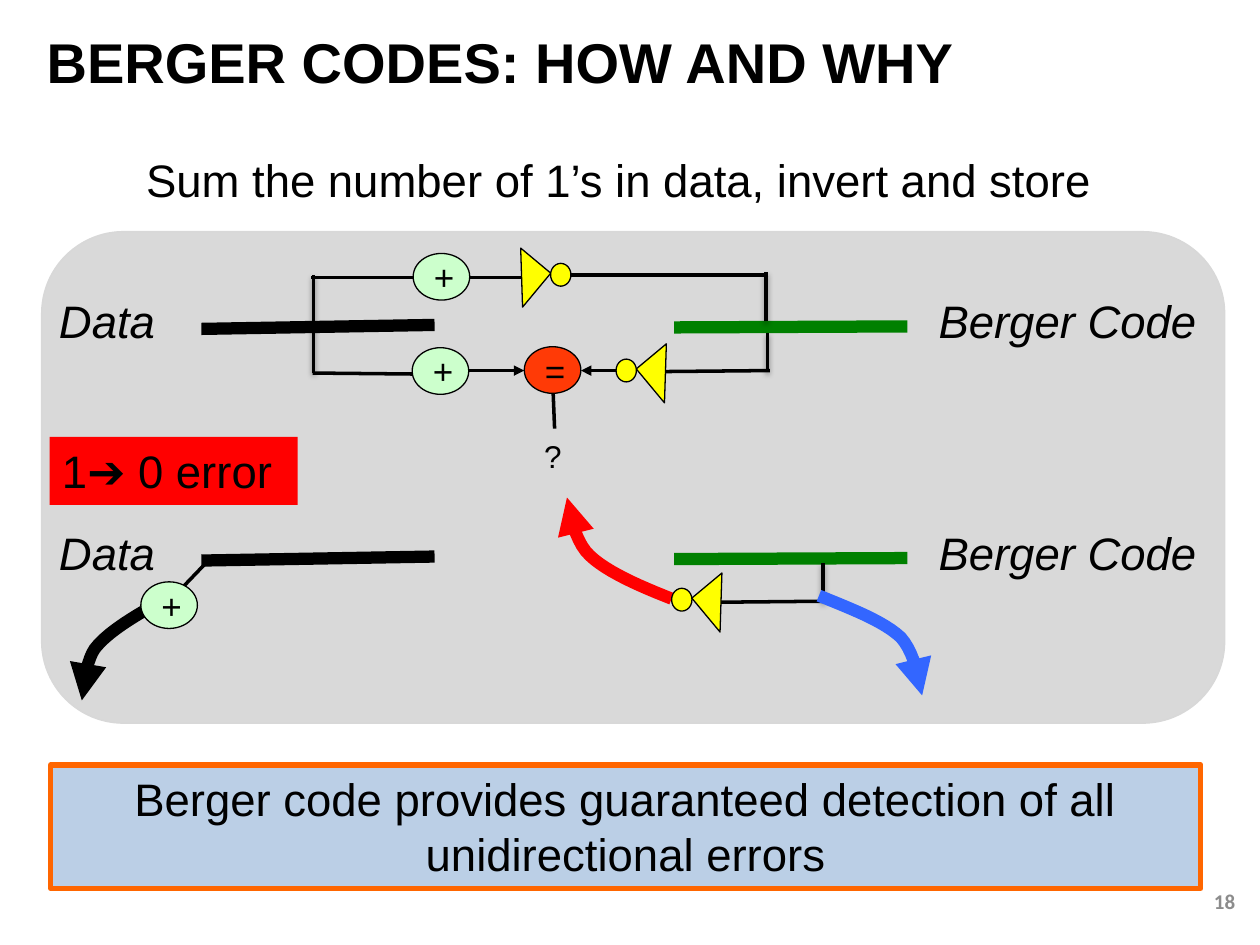
"""Build the slide on how Berger codes detect unidirectional errors."""
from dataclasses import dataclass
from typing import Optional

from lxml import etree
from pptx import Presentation, util as u
from pptx.dml.color import RGBColor
from pptx.enum import shapes, text
from pptx.oxml.ns import qn

Point = tuple[float, float]
KIND = shapes.MSO_SHAPE
ALIGN = text.PP_ALIGN
ANCHOR = text.MSO_ANCHOR
BLACK, GREEN, YELLOW = "000000", "008000", "FFFF00"
ROW_STEP = 4.67
CURVE_STEPS = 12


@dataclass
class Label:
    words: str
    size: float = 26
    color: str = BLACK
    font: str = "Arial"
    bold: bool = False
    italic: bool = False
    align: ALIGN = ALIGN.LEFT
    anchor: ANCHOR = ANCHOR.TOP
    wrap: bool = True
    before: float = 0


@dataclass
class Box:
    left: float
    top: float
    width: float
    height: float
    label: Optional[Label] = None
    kind: Optional[KIND] = None
    fill: Optional[str] = None
    line: Optional[str] = None
    weight: float = 0.75
    rotation: float = 0
    mirrored: bool = False


@dataclass
class Wire:
    start: Point
    end: Point
    color: str = BLACK
    weight: float = 2
    arrow: bool = False
    shadow: bool = False


@dataclass
class Curve:
    points: list[Point]
    color: str


def rgb(value: str) -> RGBColor:
    """Turn a hex string into a colour."""
    return RGBColor.from_string(value)


def set_all(target, values: dict) -> None:
    """Set each attribute of the target from the given values."""
    for name, value in values.items():
        setattr(target, name, value)


def style_line(line, color: str, weight: float, arrow: bool = False) -> None:
    """Colour a line and give it an optional arrowhead at its end."""
    line.color.rgb = rgb(color)
    line.width = u.Pt(weight)
    if arrow:
        etree.SubElement(line._ln, qn("a:tailEnd"), type="triangle")


def write_label(shape, label: Label) -> None:
    """Write one formatted paragraph into a shape."""
    frame = shape.text_frame
    set_all(frame, {"word_wrap": label.wrap, "vertical_anchor": label.anchor})
    paragraph = frame.paragraphs[0]
    set_all(paragraph, {"alignment": label.align, "space_before": u.Pt(label.before)})
    run = paragraph.add_run()
    run.text = label.words
    set_all(run.font, {"name": label.font, "size": u.Pt(label.size),
                       "bold": label.bold, "italic": label.italic})
    run.font.color.rgb = rgb(label.color)


def draw_box(slide, box: Box) -> None:
    """Draw a text box or a preset shape."""
    bounds = [u.Cm(v) for v in (box.left, box.top, box.width, box.height)]
    if box.kind is None:
        shape = slide.shapes.add_textbox(*bounds)
    else:
        shape = slide.shapes.add_shape(box.kind, *bounds)
        shape.shadow.inherit = False
        shape.rotation = box.rotation
        shape.fill.solid()
        shape.fill.fore_color.rgb = rgb(box.fill)
        if box.line:
            style_line(shape.line, box.line, box.weight)
        else:
            shape.line.fill.background()
        if box.mirrored:
            shape._element.spPr.find(qn("a:xfrm")).set("flipH", "1")
    if box.label:
        write_label(shape, box.label)


def draw_wire(slide, wire: Wire) -> None:
    """Draw a straight connector."""
    ends = [u.Cm(v) for v in (*wire.start, *wire.end)]
    connector = slide.shapes.add_connector(shapes.MSO_CONNECTOR.STRAIGHT, *ends)
    style_line(connector.line, wire.color, wire.weight, wire.arrow)
    effects = etree.SubElement(connector._element.spPr, qn("a:effectLst"))
    if wire.shadow:
        outer = etree.SubElement(effects, qn("a:outerShdw"), blurRad=str(u.Pt(3.1)),
                                 dist=str(u.Pt(1.6)), dir="5400000", rotWithShape="0")
        color = etree.SubElement(outer, qn("a:srgbClr"), val=BLACK)
        etree.SubElement(color, qn("a:alpha"), val="38000")


def bezier(controls: list[Point], t: float) -> Point:
    """Give the point at t on a cubic curve."""
    weights = ((1 - t) ** 3, 3 * t * (1 - t) ** 2, 3 * t * t * (1 - t), t ** 3)
    return tuple(u.Cm(sum(w * p[axis] for w, p in zip(weights, controls))) for axis in (0, 1))


def draw_curve(slide, curve: Curve) -> None:
    """Draw a thick arrow along joined cubic curves."""
    track = [bezier(curve.points[first:first + 4], step / CURVE_STEPS)
             for first in range(0, len(curve.points) - 1, 3)
             for step in range(1, CURVE_STEPS + 1)]
    builder = slide.shapes.build_freeform(*bezier(curve.points[:4], 0))
    builder.add_line_segments(track, close=False)
    shape = builder.convert_to_shape()
    shape.shadow.inherit = False
    shape.fill.background()
    style_line(shape.line, curve.color, 7, True)


def draw_row(slide, shift: float) -> None:
    """Draw a data word and its Berger code."""
    for start, end, color in (((4.06, 6.63), (8.76, 6.55), BLACK),
                              ((13.59, 6.6), (18.29, 6.58), GREEN)):
        draw_wire(slide, Wire((start[0], start[1] + shift), (end[0], end[1] + shift), color, 7))
    for words, left, width in (("Data", 0.94, 2.69), ("Berger Code", 18.67, 5.99)):
        draw_box(slide, Box(left, 5.79 + shift, width, 1.37,
                            Label(words, italic=True, wrap=False)))


def draw_operator(slide, left: float, top: float, sign: str, fill: str) -> None:
    """Draw a round operator with its sign."""
    label = Label(sign, 20, align=ALIGN.CENTER, anchor=ANCHOR.MIDDLE)
    draw_box(slide, Box(left, top, 1.14, 0.94, label, KIND.OVAL, fill, BLACK))


def draw_inverter(slide, left: float, top: float, mirrored: bool) -> None:
    """Draw an inverter whose bubble sits at the given place."""
    offset, rotation = (0.6, 140.2) if mirrored else (-0.98, 219.8)
    draw_box(slide, Box(left + offset, top - 0.16, 0.79, 0.89, None, KIND.RIGHT_TRIANGLE,
                        YELLOW, BLACK, rotation=rotation, mirrored=mirrored))
    draw_box(slide, Box(left, top, 0.41, 0.46, None, KIND.OVAL, YELLOW, BLACK))


BOXES = [
    Box(0.84, 4.67, 23.85, 9.91, None, KIND.ROUNDED_RECTANGLE, "D9D9D9", "D8D8D8"),
    Box(0.61, 2.95, 23.75, 13.41, Label("Sum the number of 1’s in data, invert and store",
                                        align=ALIGN.CENTER, before=5.2)),
    Box(0.69, 0.56, 23.29, 1.35, Label("BERGER CODES: HOW AND WHY", 32, bold=True,
                                       anchor=ANCHOR.MIDDLE)),
    Box(19.23, 17.65, 5.92, 1.02, Label("18", 12, "8C8C8C", "Calibri", True,
                                        align=ALIGN.RIGHT, anchor=ANCHOR.MIDDLE)),
    Box(1.02, 15.42, 23.19, 2.49,
        Label("Berger code provides guaranteed detection of all unidirectional errors",
              align=ALIGN.CENTER), KIND.RECTANGLE, "BBCFE6", "FF6600", 3),
    Box(1, 8.81, 5, 1.37, Label("1➔ 0 error", wrap=False), KIND.RECTANGLE, "FF0000"),
    Box(10.72, 8.69, 0.86, 1.02, Label("?", 18, wrap=False)),
]
WIRES = [
    Wire((6.32, 6.5), (6.32, 5.54), shadow=True), Wire((6.27, 5.59), (8.33, 5.59)),
    Wire((9.47, 5.59), (10.52, 5.59)), Wire((15.44, 6.48), (15.44, 5.49), shadow=True),
    Wire((15.49, 5.54), (11.51, 5.54)), Wire((6.32, 6.55), (6.32, 7.52), shadow=True),
    Wire((6.3, 7.52), (8.36, 7.54)), Wire((9.45, 7.47), (10.57, 7.47), arrow=True),
    Wire((15.47, 6.71), (15.47, 7.49), shadow=True), Wire((15.52, 7.47), (13.41, 7.49)),
    Wire((12.42, 7.47), (11.71, 7.47), arrow=True), Wire((11.15, 7.9), (11.18, 8.64)),
    Wire((3.71, 11.81), (4.17, 11.33)), Wire((16.59, 11.35), (16.59, 12.14), shadow=True),
    Wire((16.61, 12.12), (14.5, 12.14)),
]
CURVES = [
    Curve([(2.9, 12.32), (2.51, 12.55), (2.13, 12.8), (1.91, 13.08),
           (1.7, 13.39), (1.65, 14.12), (1.65, 14.12)], BLACK),
    Curve([(16.51, 12.01), (17.15, 12.27), (17.81, 12.52), (18.16, 12.85),
           (18.49, 13.21), (18.59, 14.02), (18.59, 14.02)], "3366FF"),
    Curve([(13.54, 12.07), (12.88, 11.81), (12.24, 11.53), (11.89, 11.2),
           (11.53, 10.87), (11.43, 10.03), (11.43, 10.03)], "FF0000"),
]
OPERATORS = [(8.33, 5.11, "+", "CCFFCC"), (8.31, 7.01, "+", "CCFFCC"),
             (2.84, 11.73, "+", "CCFFCC"), (10.57, 6.99, "=", "FF3A06")]
INVERTERS = [(11.1, 5.31, False), (12.42, 7.24, True), (13.54, 11.86, True)]


def main() -> None:
    """Build and save the presentation."""
    presentation = Presentation()
    set_all(presentation, {"slide_width": u.Cm(25.4), "slide_height": u.Cm(19.05)})
    slide = presentation.slides.add_slide(presentation.slide_layouts[6])
    for box in BOXES:
        draw_box(slide, box)
    for row in range(2):
        draw_row(slide, row * ROW_STEP)
    for wire in WIRES:
        draw_wire(slide, wire)
    for curve in CURVES:
        draw_curve(slide, curve)
    for operator in OPERATORS:
        draw_operator(slide, *operator)
    for inverter in INVERTERS:
        draw_inverter(slide, *inverter)
    presentation.save("out.pptx")


if __name__ == "__main__":
    main()
